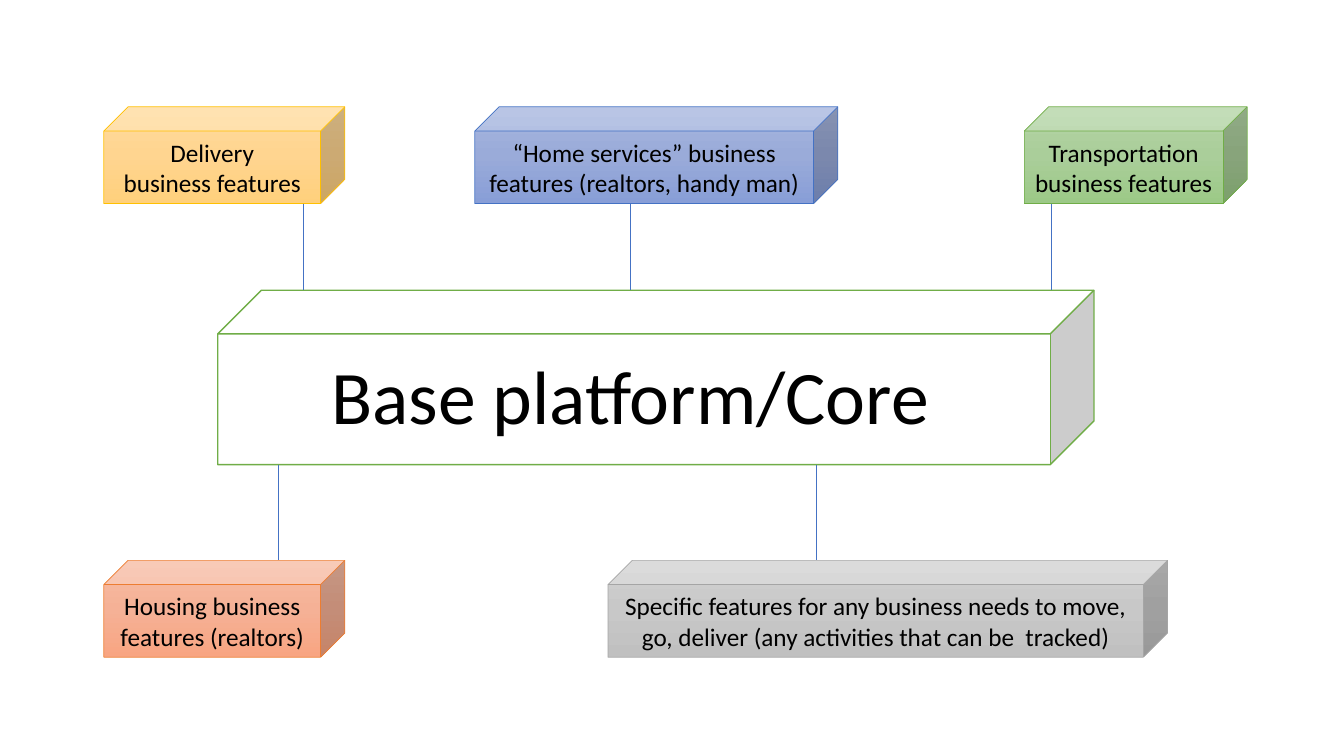
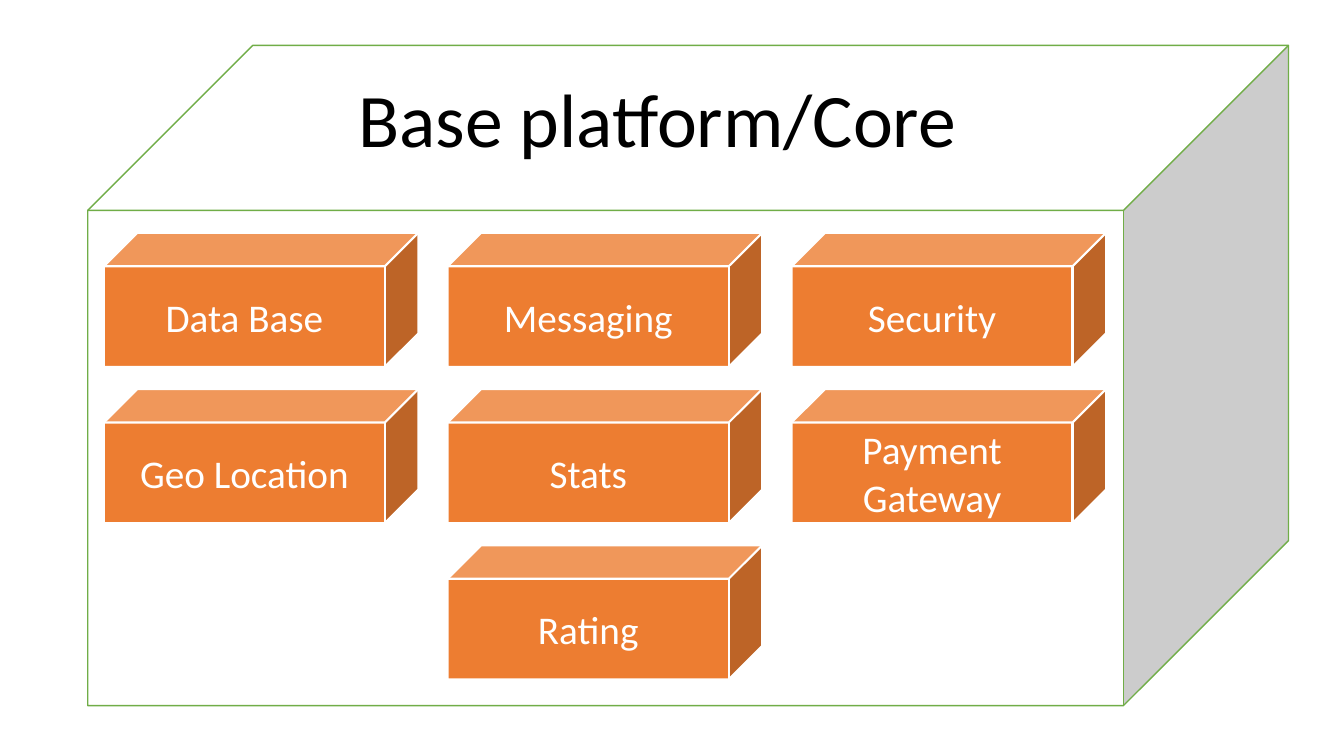
from copy import deepcopy

from lxml import etree
from pptx import Presentation
from pptx.dml.color import RGBColor
from pptx.enum import shapes, text
from pptx.oxml.ns import qn
from pptx.util import Inches, Pt

FONT = "Calibri"
COLORS = {
    "black": "000000", "white": "FFFFFF", "green": "70AD47", "orange": "ED7D31",
    "gray": "A5A5A5", "blue": "4472C4", "gold": "FFC000",
}
# Top, middle and bottom tint of each gradient
TINTS = {
    "orange": ("F7BDA5", "F5B196", "F8A582"),
    "gray": ("D2D2D2", "C8C8C8", "C0C0C0"),
    "blue": ("A8B7DF", "9AABD9", "889ED7"),
    "green": ("B5D5A7", "AACE9A", "9CC987"),
    "gold": ("FFDB9E", "FFD590", "FFD07C"),
}

TITLE = "Base platform/Core"
TITLE_SIZE = (6.22, 1.01)

# Feature boxes: left, width, colour, connector x, text
UPPER_FEATURES = [
    (1.03, 2.39, "gold", 3.01, "Delivery\nbusiness features"),
    (4.71, 3.6, "blue", 6.25, "“Home services” business features (realtors, handy man)"),
    (10.16, 2.21, "green", 10.43, "Transportation business features"),
]
LOWER_FEATURES = [
    (1.03, 2.39, "orange", 2.76, "Housing business features (realtors)"),
    (6.03, 5.55, "gray", 8.1,
     "Specific features for any business needs to move, go, deliver "
     "(any activities that can be  tracked)"),
]
FEATURE_HEIGHT = 0.96
UPPER_TOP, LOWER_TOP = 1.06, 5.56
CORE = (2.16, 2.88, 8.69, 1.73)

MODULE_ROWS = [
    ("Data Base", "Messaging", "Security"),
    ("Geo Location", "Stats", "Payment Gateway"),
    (None, "Rating", None),
]
MODULE_LEFT, MODULE_TOP = 1.03, 2.31
MODULE_WIDTH, MODULE_HEIGHT = 3.12, 1.33
COLUMN_STEP, ROW_STEP = 3.41, 1.55
LARGE_CORE = (0.87, 0.45, 11.91, 6.55)


def rgb(name):
    return RGBColor.from_string(COLORS[name])


def write(shape, words, size, color="black", wrap=True):
    frame = shape.text_frame
    frame.text = words
    frame.word_wrap = wrap
    frame.auto_size = text.MSO_AUTO_SIZE.NONE
    frame.vertical_anchor = text.MSO_ANCHOR.MIDDLE
    for paragraph in frame.paragraphs:
        paragraph.alignment = text.PP_ALIGN.CENTER
        font = paragraph.font
        font.name, font.size = FONT, Pt(size)
        font.color.rgb = rgb(color)


def fill_gradient(shape, tints):
    fill = shape.fill
    fill.gradient()
    fill.gradient_angle = 270  # counted anticlockwise: runs from top to bottom
    stop_list = shape.element.spPr.find(".//" + qn("a:gsLst"))
    stop_list.insert(1, deepcopy(stop_list[0]))
    for stop, tint, position in zip(fill.gradient_stops, tints, (0, 0.5, 1)):
        stop.color.rgb = RGBColor.from_string(tint)
        stop.position = position


def add_cube(slide, box, line, weight, fill=None, tints=None):
    cube = slide.shapes.add_shape(shapes.MSO_SHAPE.CUBE, *map(Inches, box))
    cube.shadow.inherit = False
    if tints:
        fill_gradient(cube, tints)
    else:
        cube.fill.solid()
        cube.fill.fore_color.rgb = rgb(fill)
    cube.line.color.rgb = rgb(line)
    cube.line.width = Pt(weight)
    return cube


def add_link(slide, x, top, bottom):
    link = slide.shapes.add_connector(
        shapes.MSO_CONNECTOR.STRAIGHT, *map(Inches, (x, top, x, bottom)))
    link.line.color.rgb = rgb("blue")
    link.line.width = Pt(0.5)
    etree.SubElement(link.element.spPr, qn("a:effectLst"))


def add_core_slide(deck, core, title_left, title_top):
    """Add a slide with the core cube and the title lying on top of it."""
    slide = deck.slides.add_slide(deck.slide_layouts[5])
    add_cube(slide, core, "green", 1, fill="white")
    title = slide.shapes.title
    title.left, title.top = Inches(title_left), Inches(title_top)
    title.width, title.height = map(Inches, TITLE_SIZE)
    write(title, TITLE, 54, wrap=False)
    title.element.getparent().append(title.element)
    return slide


def build_features(deck):
    slide = add_core_slide(deck, CORE, 3.14, 3.41)
    core_top, core_bottom = CORE[1], CORE[1] + CORE[3]
    rows = [
        (UPPER_FEATURES, UPPER_TOP, UPPER_TOP + FEATURE_HEIGHT, core_top),
        (LOWER_FEATURES, LOWER_TOP, core_bottom, LOWER_TOP),
    ]
    for features, top, link_top, link_bottom in rows:
        for left, width, color, link_x, words in features:
            cube = add_cube(slide, (left, top, width, FEATURE_HEIGHT),
                            color, 0.5, tints=TINTS[color])
            write(cube, words, 18)
            add_link(slide, link_x, link_top, link_bottom)


def build_modules(deck):
    slide = add_core_slide(deck, LARGE_CORE, 3.41, 0.66)
    for row, names in enumerate(MODULE_ROWS):
        for column, name in enumerate(names):
            if name:
                box = (MODULE_LEFT + column * COLUMN_STEP,
                       MODULE_TOP + row * ROW_STEP, MODULE_WIDTH, MODULE_HEIGHT)
                cube = add_cube(slide, box, "white", 1.5, fill="orange")
                write(cube, name, 28, "white")


def main():
    deck = Presentation()
    deck.slide_width, deck.slide_height = Inches(13.33), Inches(7.5)
    build_features(deck)
    build_modules(deck)
    deck.save("out.pptx")


if __name__ == "__main__":
    main()
